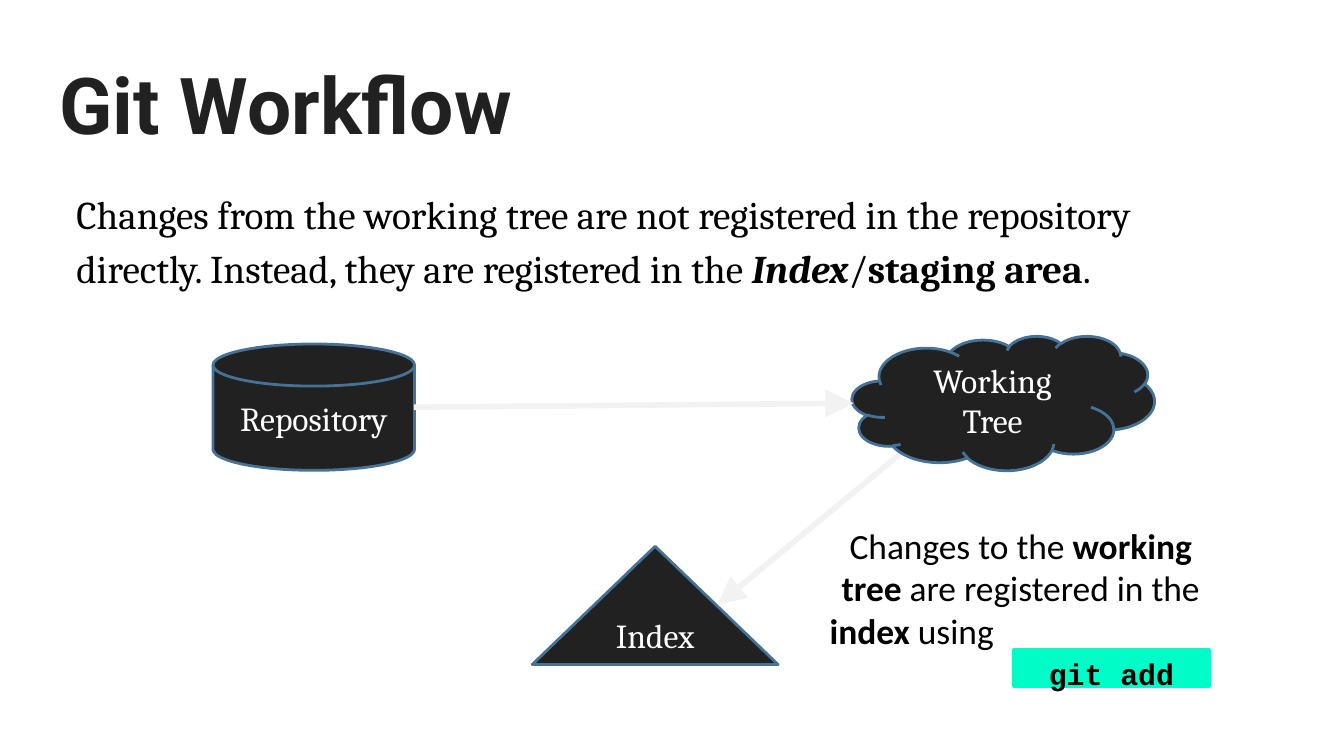
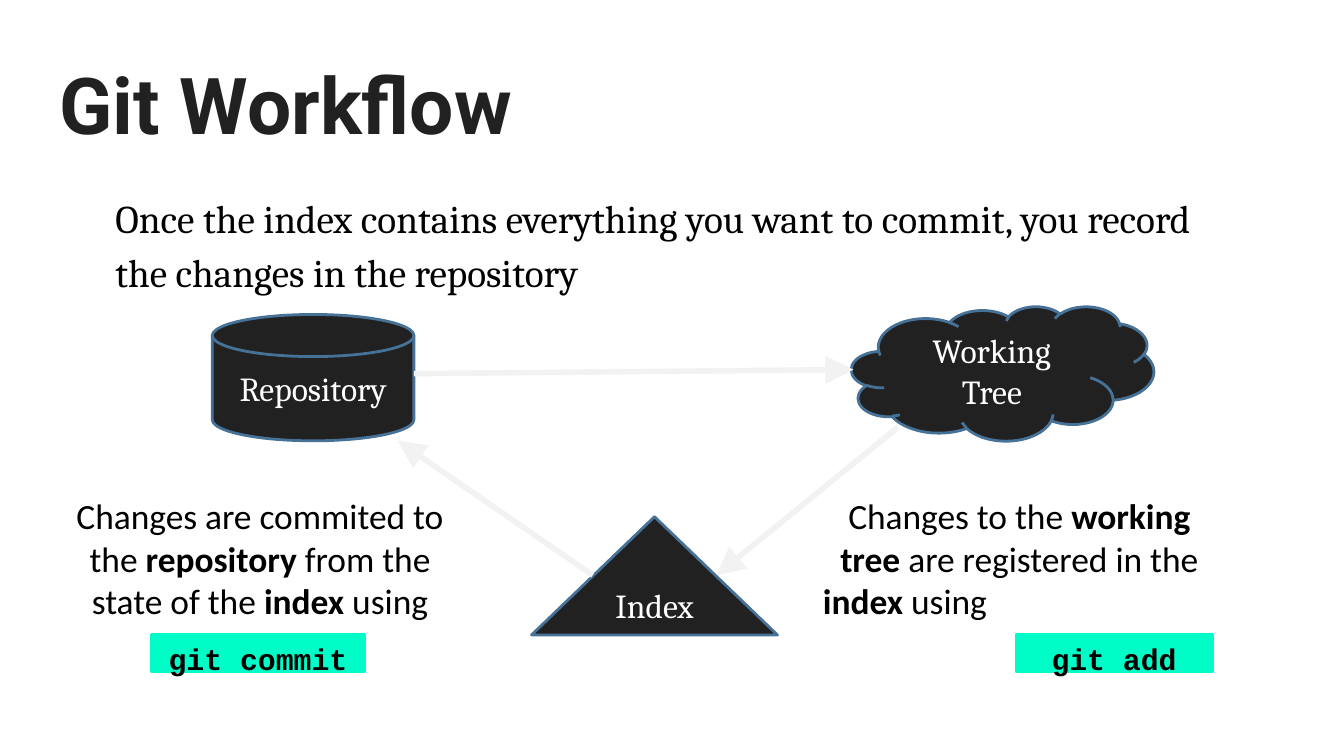
import pptx
import pptx.util
import pptx.dml.color
import pptx.enum.shapes
import pptx.enum.text
import pptx.oxml.ns
from lxml import etree

SHAPES = pptx.enum.shapes.MSO_SHAPE
ANCHOR = pptx.enum.text.MSO_ANCHOR
ALIGN = pptx.enum.text.PP_ALIGN

# Theme: colours, type styles, line widths
THEME = {
    "colors": {"dark": "212121", "edge": "477298", "arrow": "F2F2F2",
               "command": "00FDC8", "white": "FFFFFF"},
    "type": {
        "title": {"name": "Roboto", "size": 42, "color": "212121", "bold": True},
        "body": {"name": "Cambria", "size": 21, "color": "000000"},
        "node": {"name": "Cambria", "size": 18, "color": "FFFFFF"},
        "note": {"name": "Calibri", "size": 19, "color": "000000"},
        "command": {"name": "Courier New", "size": 16, "color": "000000", "bold": True},
    },
    "outline": 1.5,
    "arrow_width": 3,
}

# Content: a paragraph is a list of (text, emphasis), emphasis being "b", "i" or both.
# Places are in grid units, one unit being a hundredth of the slide's width.
SLIDE_WIDTH = 10
SLIDE_HEIGHT = SLIDE_WIDTH * 9 / 16
TITLE = "Git Workflow"
TITLE_BOX = (3.45, 3.2, 93.2, 8.8)

# Nodes and notes: offsets from the diagram's origin
NODES = [
    (["Repository"], SHAPES.FLOWCHART_MAGNETIC_DISK, (15.85, 0.6, 15, 9.4)),
    (["Working", "Tree"], SHAPES.CLOUD, (63.4, 0, 22.5, 10)),
    (["Index"], SHAPES.ISOSCELES_TRIANGLE, (39.6, 15.65, 18.3, 8.8)),
]
NOTE_ADD = [
    [("Changes to the ", ""), ("working tree", "b"), (" are registered in the", "")],
    [("index", "b"), (" using", "")],
]
NOTE_COMMIT = [
    [("Changes are commited to the ", ""), ("repository", "b"),
     (" from the state of the ", ""), ("index", "b"), (" using", "")],
]
NOTE_SIZE = (31.7, 14.7)
NOTE_DROP = 13.5
COMMAND_HEIGHT = 2.8

SLIDES = [
    {
        "body": [("Changes from the working tree are not registered in the repository "
                  "directly. Instead, they are registered in the ", ""),
                 ("Index", "bi"), ("/", ""), ("staging area", "b"), (".", "")],
        "body_box": (4.5, 13.15, 88.4, 37.9),
        "origin": (0, 25),
        "arrows_behind": [((73, 28.8), (53.4, 45))],
        "arrows_front": [((30.8, 30.3), (63.5, 30))],
        "notes": [(NOTE_ADD, 60.05, 0.7)],
        "commands": [("git add", 75.4, 48.3, 14.6)],
    },
    {
        "body": [("Once the index contains everything you want to commit, you record "
                  "the changes in the repository", "")],
        "body_box": (7.4, 13.45, 85.8, 36.2),
        "origin": (-0.05, 22.8),
        "arrows_behind": [],
        "arrows_front": [((30.8, 27.8), (63.5, 27.5)),
                         ((44.1, 42.8), (29.6, 32.8)),
                         ((66.8, 31.8), (53.3, 42.8))],
        "notes": [(NOTE_ADD, 60, 0.3), (NOTE_COMMIT, 3.5, 0)],
        "commands": [("git commit", 11.3, 47.2, 15.8), ("git add", 75.6, 47.2, 14.6)],
    },
]


def grid(*units):
    return [pptx.util.Inches(unit * SLIDE_WIDTH / 100) for unit in units]


def rgb(value):
    return pptx.dml.color.RGBColor.from_string(value)


def indent(paragraph, units):
    properties = paragraph._p.get_or_add_pPr()
    properties.set("marL", str(grid(units)[0]))
    properties.set("indent", "0")


def write(shape, paragraphs, style, align=ALIGN.LEFT, anchor=ANCHOR.TOP,
          inset=0.5, spacing=None, margin=0):
    """Fill a shape with styled paragraphs."""
    frame = shape.text_frame
    side, edge = grid(1, inset)
    for name, value in {"word_wrap": True, "vertical_anchor": anchor,
                        "margin_left": side, "margin_right": side,
                        "margin_top": edge, "margin_bottom": edge}.items():
        setattr(frame, name, value)
    look = THEME["type"][style]
    for index, pieces in enumerate(paragraphs):
        paragraph = frame.add_paragraph() if index else frame.paragraphs[0]
        paragraph.alignment = align
        if spacing:
            paragraph.line_spacing = spacing
        if margin:
            indent(paragraph, margin)
        for text, emphasis in pieces:
            run = paragraph.add_run()
            run.text = text
            for name, value in {"name": look["name"],
                                "size": pptx.util.Pt(look["size"]),
                                "bold": look.get("bold", "b" in emphasis),
                                "italic": "i" in emphasis}.items():
                setattr(run.font, name, value)
            run.font.color.rgb = rgb(look["color"])


def add_text(slide, box, paragraphs, style, **format_values):
    textbox = slide.shapes.add_textbox(*grid(*box))
    write(textbox, paragraphs, style, **format_values)
    return textbox


def add_block(slide, kind, box, fill, edge, lines, style, anchor):
    shape = slide.shapes.add_shape(kind, *grid(*box))
    shape.shadow.inherit = False
    shape.fill.solid()
    shape.fill.fore_color.rgb = rgb(THEME["colors"][fill])
    shape.line.color.rgb = rgb(THEME["colors"][edge])
    shape.line.width = pptx.util.Pt(THEME["outline"])
    write(shape, [[(line, "")] for line in lines], style, ALIGN.CENTER, anchor)


def add_arrow(slide, start, end):
    connector = slide.shapes.add_connector(
        pptx.enum.shapes.MSO_CONNECTOR.STRAIGHT, *grid(*start, *end))
    connector.line.color.rgb = rgb(THEME["colors"]["arrow"])
    connector.line.width = pptx.util.Pt(THEME["arrow_width"])
    qn = pptx.oxml.ns.qn
    etree.SubElement(connector.line._get_or_add_ln(), qn("a:tailEnd"),
                     type="triangle", w="lg", len="lg")
    etree.SubElement(connector._element.spPr, qn("a:effectLst"))


def add_note(slide, paragraphs, left, top, last_margin):
    """Centre a note; a separate closing line starts at the left."""
    textbox = add_text(slide, (left, top, *NOTE_SIZE), paragraphs, "note",
                       align=ALIGN.CENTER, margin=0.1)
    if len(paragraphs) > 1:
        closing = textbox.text_frame.paragraphs[-1]
        closing.alignment = ALIGN.LEFT
        indent(closing, last_margin)


def build_slide(presentation, content):
    slide = presentation.slides.add_slide(presentation.slide_layouts[6])
    slide.background.fill.solid()
    slide.background.fill.fore_color.rgb = rgb(THEME["colors"]["white"])
    origin_left, origin_top = content["origin"]

    # Title and body
    add_text(slide, TITLE_BOX, [[(TITLE, "")]], "title", inset=1)
    for start, end in content["arrows_behind"]:
        add_arrow(slide, start, end)
    add_text(slide, content["body_box"], [content["body"]], "body",
             spacing=1.15, margin=0.2)

    # Diagram
    for lines, kind, (left, top, width, height) in NODES:
        box = (origin_left + left, origin_top + top, width, height)
        add_block(slide, kind, box, "dark", "edge", lines, "node", ANCHOR.MIDDLE)

    # Notes and commands
    for paragraphs, left, last_margin in content["notes"]:
        add_note(slide, paragraphs, origin_left + left, origin_top + NOTE_DROP, last_margin)
    for command, left, top, width in content["commands"]:
        add_block(slide, SHAPES.RECTANGLE, (left, top, width, COMMAND_HEIGHT),
                  "command", "command", [command], "command", ANCHOR.TOP)
    for start, end in content["arrows_front"]:
        add_arrow(slide, start, end)


def main():
    presentation = pptx.Presentation()
    presentation.slide_width = pptx.util.Inches(SLIDE_WIDTH)
    presentation.slide_height = pptx.util.Inches(SLIDE_HEIGHT)
    for content in SLIDES:
        build_slide(presentation, content)
    presentation.save("out.pptx")


if __name__ == "__main__":
    main()
